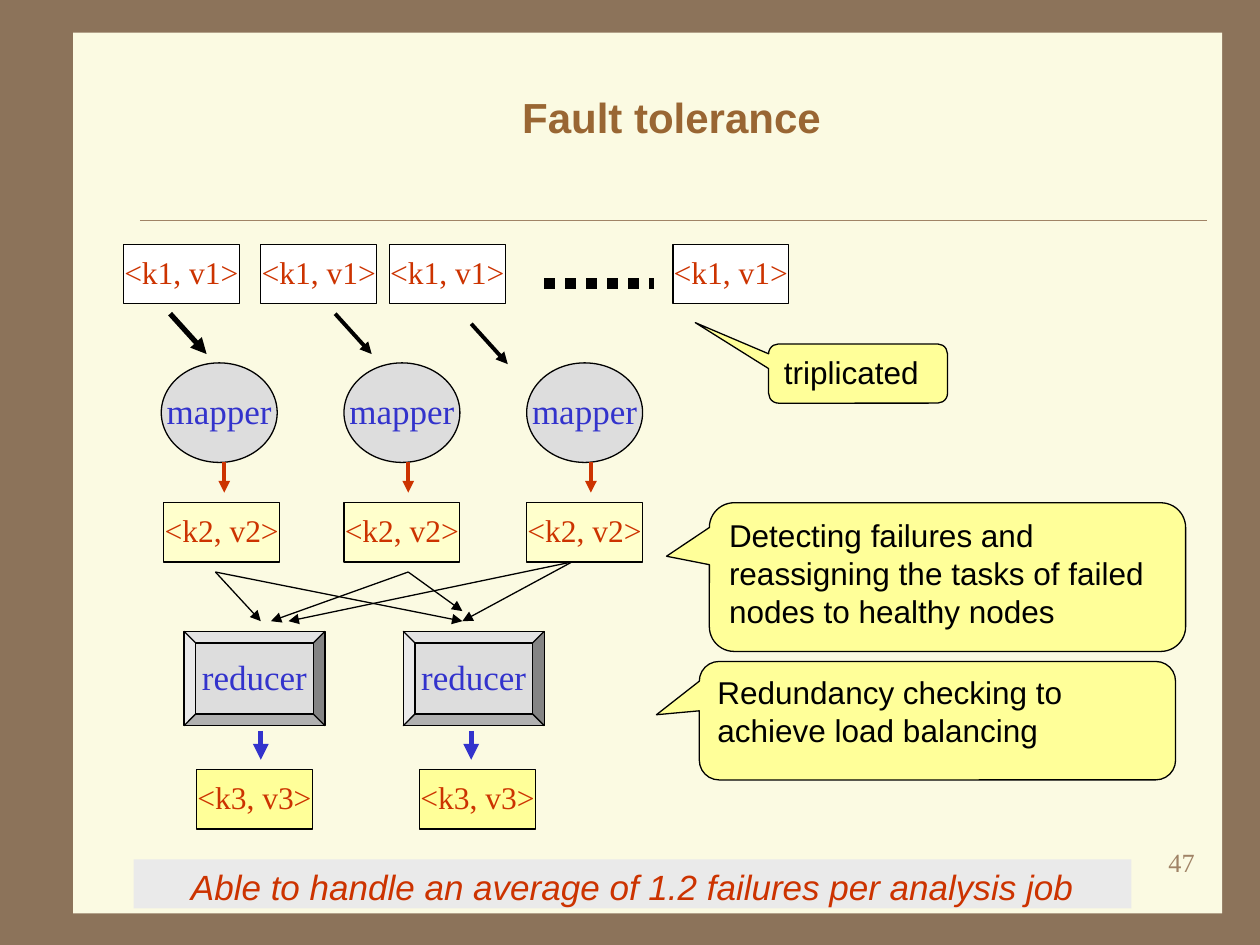
import pptx
import pptx.dml.color
import pptx.enum.dml
import pptx.enum.shapes
import pptx.enum.text
import pptx.oxml.ns
import pptx.oxml.xmlchemy
import pptx.util

Inches, Pt = pptx.util.Inches, pptx.util.Pt
SHAPE = pptx.enum.shapes.MSO_SHAPE
ALIGN = pptx.enum.text.PP_ALIGN
ANCHOR = pptx.enum.text.MSO_ANCHOR
SERIF, SANS = "Times New Roman", "Arial"
BLACK, RED, BLUE, GREY, YELLOW = "000000", "CC3300", "3333CC", "DDDDDD", "FFFF99"

TITLE = "Fault tolerance"
CONCLUSION = "Able to handle an average of 1.2 failures per analysis job"
PAGE_NUMBER = "47"

STAGES = [
    ("<k1, v1>", SHAPE.RECTANGLE, [0.98, 2.07, 3.09, 5.34], 1.94, 0.92, 0.47, "FFFFFF", 18, RED),
    ("mapper", SHAPE.OVAL, [1.28, 2.73, 4.18], 2.88, 0.92, 0.79, GREY, 20, BLUE),
    ("<k2, v2>", SHAPE.RECTANGLE, [1.3, 2.73, 4.18], 3.99, 0.92, 0.47, "FFFFCC", 18, RED),
    ("reducer", SHAPE.BEVEL, [1.46, 3.2], 5.01, 1.12, 0.75, GREY, 20, BLUE),
    ("<k3, v3>", SHAPE.RECTANGLE, [1.56, 3.33], 6.11, 0.92, 0.47, YELLOW, 18, RED),
]
INPUT_ARROWS = [(1.35, 2.49, 3), (2.66, 2.49, 2.25), (3.74, 2.57, 2.25)]
MAPPER_ARROWS = [1.78, 3.24, 4.69]
REDUCER_ARROWS = [2.07, 3.74]
SHUFFLE = [
    ((1.71, 4.54), [(2.07, 4.93), (3.67, 4.93)]),
    ((3.24, 4.54), [(2.15, 4.93), (3.67, 4.85)]),
    ((4.54, 4.46), [(2.29, 4.93), (3.67, 4.93)]),
]
CALLOUTS = [
    ("triplicated", (6.1, 2.73, 1.42, 0.47), (-0.91, -0.86)),
    ("Detecting failures and reassigning the tasks of failed nodes to healthy nodes",
     (5.63, 3.99, 3.78, 1.18), (-0.59, -0.14)),
    ("Redundancy checking to achieve load balancing",
     (5.55, 5.25, 3.78, 0.94), (-0.59, -0.05)),
]


def color(value):
    """Turn a hex string into a colour."""
    return pptx.dml.color.RGBColor.from_string(value)


def place(shape, box):
    """Move and size a shape in inches."""
    shape.left, shape.top, shape.width, shape.height = map(Inches, box)


def write(shape, text, size, font, ink, align=ALIGN.LEFT, anchor=ANCHOR.TOP,
          wrap=True, spacing=1.0, bold=False, italic=False):
    """Fill a shape with one formatted run."""
    frame = shape.text_frame
    frame.word_wrap = wrap
    frame.auto_size = pptx.enum.text.MSO_AUTO_SIZE.NONE
    frame.vertical_anchor = anchor
    frame.margin_left = frame.margin_right = Inches(0.1)
    frame.margin_top = frame.margin_bottom = Inches(0.05)
    paragraph = frame.paragraphs[0]
    paragraph.alignment = align
    paragraph.line_spacing = spacing
    run = paragraph.add_run()
    run.text = text
    run.font.size, run.font.name = Pt(size), font
    run.font.bold, run.font.italic = bold, italic
    run.font.color.rgb = color(ink)


def add_box(slide, kind, box, fill, line=None):
    """Add a flat filled shape, outlined when a line colour is given."""
    shape = slide.shapes.add_shape(kind, *map(Inches, box))
    shape.shadow.inherit = False
    shape.fill.solid()
    shape.fill.fore_color.rgb = color(fill)
    if line:
        shape.line.color.rgb = color(line)
        shape.line.width = Pt(0.75)
    else:
        shape.line.fill.background()
    return shape


def add_line(slide, start, end, ink, width, arrow=True):
    """Add a straight line, with an arrowhead at its end unless told otherwise."""
    connector = slide.shapes.add_connector(
        pptx.enum.shapes.MSO_CONNECTOR.STRAIGHT, *map(Inches, (*start, *end)))
    connector.line.color.rgb = color(ink)
    connector.line.width = Pt(width)
    properties = connector._element.find(pptx.oxml.ns.qn("p:spPr"))
    if arrow:
        head = pptx.oxml.xmlchemy.OxmlElement("a:tailEnd")
        head.set("type", "triangle")
        properties.find(pptx.oxml.ns.qn("a:ln")).append(head)
    properties.append(pptx.oxml.xmlchemy.OxmlElement("a:effectLst"))
    return connector


def add_frame(slide):
    """Add the page panel, title, rule, page number and conclusion."""
    slide.background.fill.solid()
    slide.background.fill.fore_color.rgb = color("8C735A")
    panel = add_box(slide, SHAPE.RECTANGLE, (0.58, 0.26, 9.12, 6.99), "FBFAE2")
    title = slide.shapes.title
    panel._element.addnext(title._element)
    place(title, (1.08, 0.5, 8.5, 0.9))
    write(title, TITLE, 24, SANS, "996633", ALIGN.CENTER, ANCHOR.MIDDLE, spacing=0.93, bold=True)
    add_line(slide, (1.11, 1.75), (9.58, 1.75), "A08366", 0.25, arrow=False)
    number = slide.shapes.add_textbox(*map(Inches, (7.5, 6.67, 2.08, 0.5)))
    write(number, PAGE_NUMBER, 15, SERIF, "A08366", ALIGN.RIGHT)
    banner = add_box(slide, SHAPE.RECTANGLE, (1.06, 6.82, 7.92, 0.39), "EAEAEA")
    write(banner, CONCLUSION, 20, SANS, RED, ALIGN.CENTER, italic=True)


def add_flow(slide):
    """Add the map and reduce stages with their arrows."""
    for label, kind, lefts, top, width, height, fill, size, ink in STAGES:
        for left in lefts:
            node = add_box(slide, kind, (left, top, width, height), fill, BLACK)
            write(node, label, size, SERIF, ink, ALIGN.CENTER, ANCHOR.MIDDLE, wrap=False, spacing=0.93)
    dots = add_line(slide, (4.32, 2.25), (5.19, 2.25), BLACK, 6, arrow=False)
    dots.line.dash_style = pptx.enum.dml.MSO_LINE.ROUND_DOT
    for x, y, width in INPUT_ARROWS:
        add_line(slide, (x, y), (x + 0.29, y + 0.32), BLACK, width)
    for x in MAPPER_ARROWS:
        add_line(slide, (x, 3.67), (x, 3.91), RED, 2.25)
    for start, ends in SHUFFLE:
        for end in ends:
            add_line(slide, start, end, BLACK, 0.75)
    for x in REDUCER_ARROWS:
        add_line(slide, (x, 5.8), (x, 6.03), BLUE, 3)


def add_callouts(slide):
    """Add the notes that point at the stages."""
    for text, box, tip in CALLOUTS:
        callout = add_box(slide, SHAPE.ROUNDED_RECTANGULAR_CALLOUT, box, YELLOW, BLACK)
        callout.adjustments[0], callout.adjustments[1] = tip
        write(callout, text, 18, SANS, BLACK)


def main():
    """Build and save the slide."""
    presentation = pptx.Presentation()
    presentation.slide_width, presentation.slide_height = Inches(10), Inches(7.5)
    slide = presentation.slides.add_slide(presentation.slide_layouts[5])
    add_frame(slide)
    add_flow(slide)
    add_callouts(slide)
    presentation.save("out.pptx")


if __name__ == "__main__":
    main()
